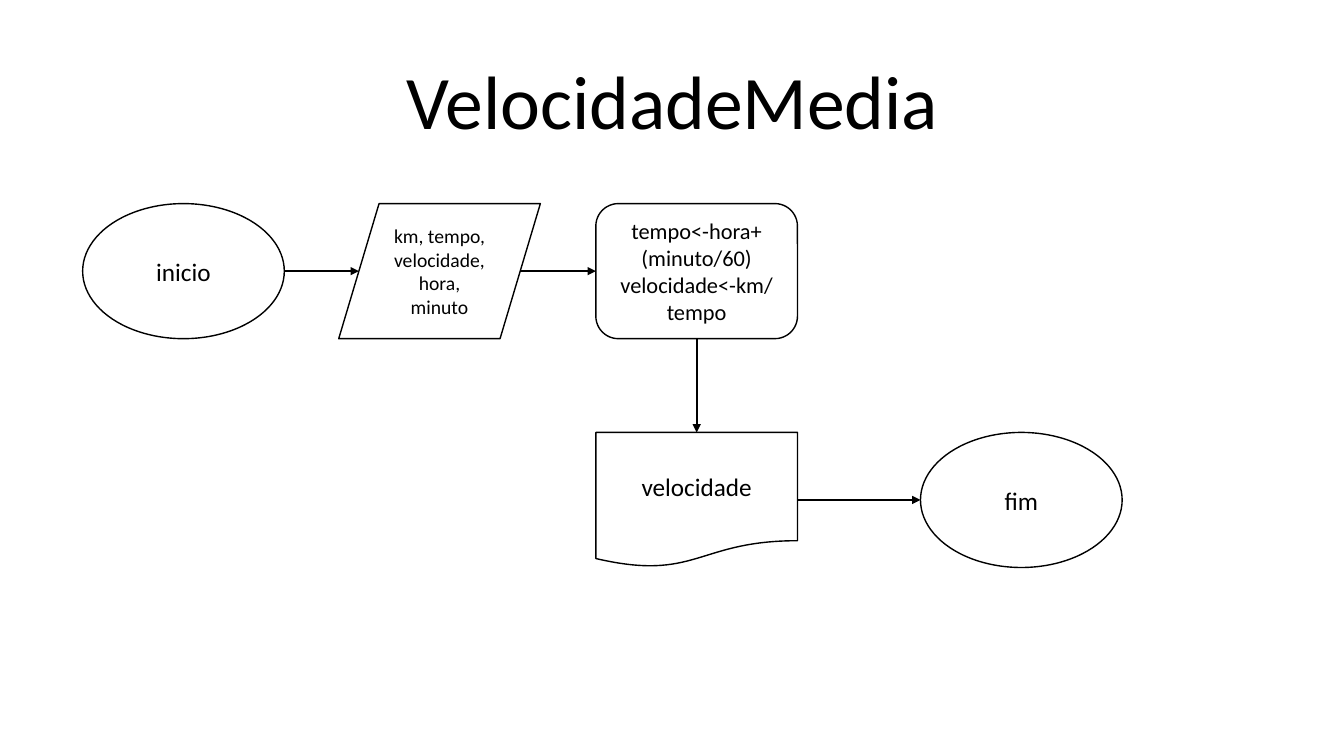
import lxml.etree
import pptx
import pptx.dml.color
import pptx.enum.shapes
import pptx.enum.text
import pptx.oxml.ns
import pptx.util

Inches = pptx.util.Inches
KIND = pptx.enum.shapes.MSO_SHAPE

TITLE = "VelocidadeMedia"

# name: (kind, column, row, type size, paragraphs)
STEPS = {
    "start": (KIND.FLOWCHART_CONNECTOR, 0, 0, "large", ["inicio"]),
    "end": (KIND.FLOWCHART_CONNECTOR, 3, 1, "large", ["fim"]),
    "input": (KIND.FLOWCHART_DATA, 1, 0, "small",
              ["km, tempo, velocidade, hora, minuto"]),
    "output": (KIND.FLOWCHART_DOCUMENT, 2, 1, "large", ["velocidade"]),
    "process": (KIND.FLOWCHART_ALTERNATE_PROCESS, 2, 0, "medium",
                ["tempo<-hora+(minuto/60)", "velocidade<-km/tempo"]),
}
LINKS = [("start", "input"), ("process", "output"),
         ("input", "process"), ("output", "end")]

THEME = {
    "font": "Calibri", "ink": "000000", "paper": "FFFFFF",
    "title": 54, "large": 18, "medium": 16, "small": 14,
    "edge": 1, "arrow": 1.5,
}
COLS = [0.82, 3.36, 5.91, 9.13]
ROWS = [2.02, 4.29]
WIDE, HIGH = 2, 1.34
SLANT = 0.1 * WIDE  # inset of the input's slanted sides at mid height


def tint(name):
    """Return a theme colour."""
    return pptx.dml.color.RGBColor.from_string(THEME[name])


def write(frame, lines, size="large", color="ink", space=None):
    """Fill a text frame with centred paragraphs."""
    frame.word_wrap = True
    frame.vertical_anchor = pptx.enum.text.MSO_ANCHOR.MIDDLE
    for i, line in enumerate(lines):
        para = frame.add_paragraph() if i else frame.paragraphs[0]
        para.alignment = pptx.enum.text.PP_ALIGN.CENTER
        para.line_spacing = space
        run = para.add_run()
        run.text = line
        run.font.name = THEME["font"]
        run.font.size = pptx.util.Pt(THEME[size])
        run.font.color.rgb = tint(color)


def stroke(line, width):
    """Set the colour and width of a line."""
    line.color.rgb = tint("ink")
    line.width = pptx.util.Pt(THEME[width])


def draw_step(slide, kind, col, row, size, lines):
    """Draw one flowchart step in its grid cell."""
    shape = slide.shapes.add_shape(
        kind, Inches(COLS[col]), Inches(ROWS[row]), Inches(WIDE), Inches(HIGH))
    shape.shadow.inherit = False
    shape.fill.solid()
    shape.fill.fore_color.rgb = tint("paper")
    stroke(shape.line, "edge")
    write(shape.text_frame, lines, size=size)


def ends(first, last):
    """Return the two points that join a pair of steps."""
    kind, col, row = STEPS[first][:3]
    goal, right, low = STEPS[last][:3]
    if col == right:
        mid = COLS[col] + WIDE / 2
        return (mid, ROWS[row] + HIGH), (mid, ROWS[low])
    mid = ROWS[row] + HIGH / 2
    out = COLS[col] + WIDE - SLANT * (kind == KIND.FLOWCHART_DATA)
    into = COLS[right] + SLANT * (goal == KIND.FLOWCHART_DATA)
    return (out, mid), (into, mid)


def draw_link(slide, first, last):
    """Draw an arrow from one step to the next."""
    start, stop = ends(first, last)
    link = slide.shapes.add_connector(
        pptx.enum.shapes.MSO_CONNECTOR.STRAIGHT,
        *[Inches(n) for n in start + stop])
    stroke(link.line, "arrow")
    tag = pptx.oxml.ns.qn
    lxml.etree.SubElement(
        link.line._get_or_add_ln(), tag("a:tailEnd"), type="triangle")
    lxml.etree.SubElement(link._element.spPr, tag("a:effectLst"))


def main():
    """Build and save the slide."""
    deck = pptx.Presentation()
    deck.slide_width, deck.slide_height = Inches(13.33), Inches(7.5)
    slide = deck.slides.add_slide(deck.slide_layouts[6])
    box = slide.shapes.add_textbox(
        Inches(2.68), Inches(0.68), Inches(7.98), Inches(0.72))
    write(box.text_frame, [TITLE], size="title", space=0.9)
    for step in STEPS.values():
        draw_step(slide, *step)
    for pair in LINKS:
        draw_link(slide, *pair)
    deck.save("out.pptx")


main()
